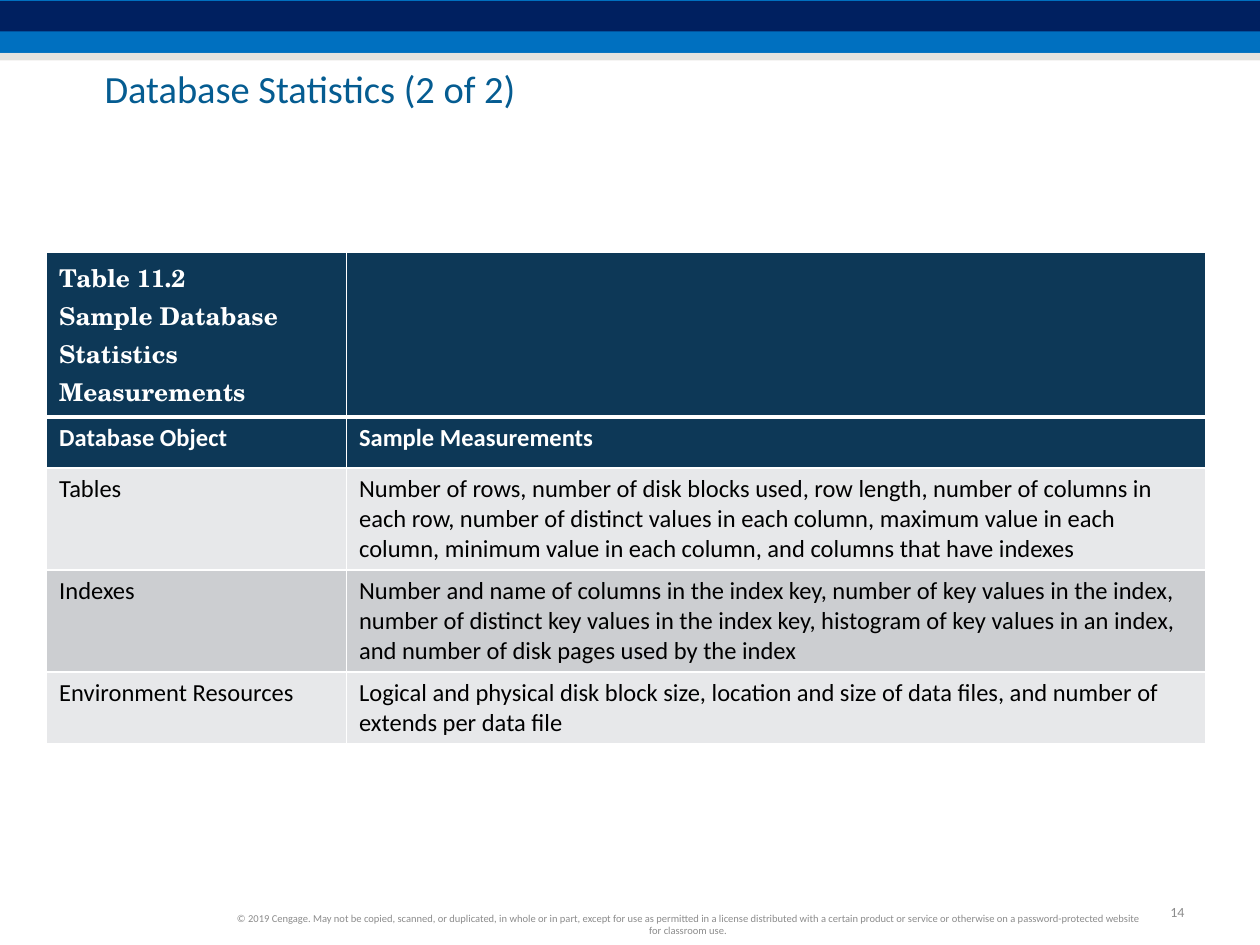
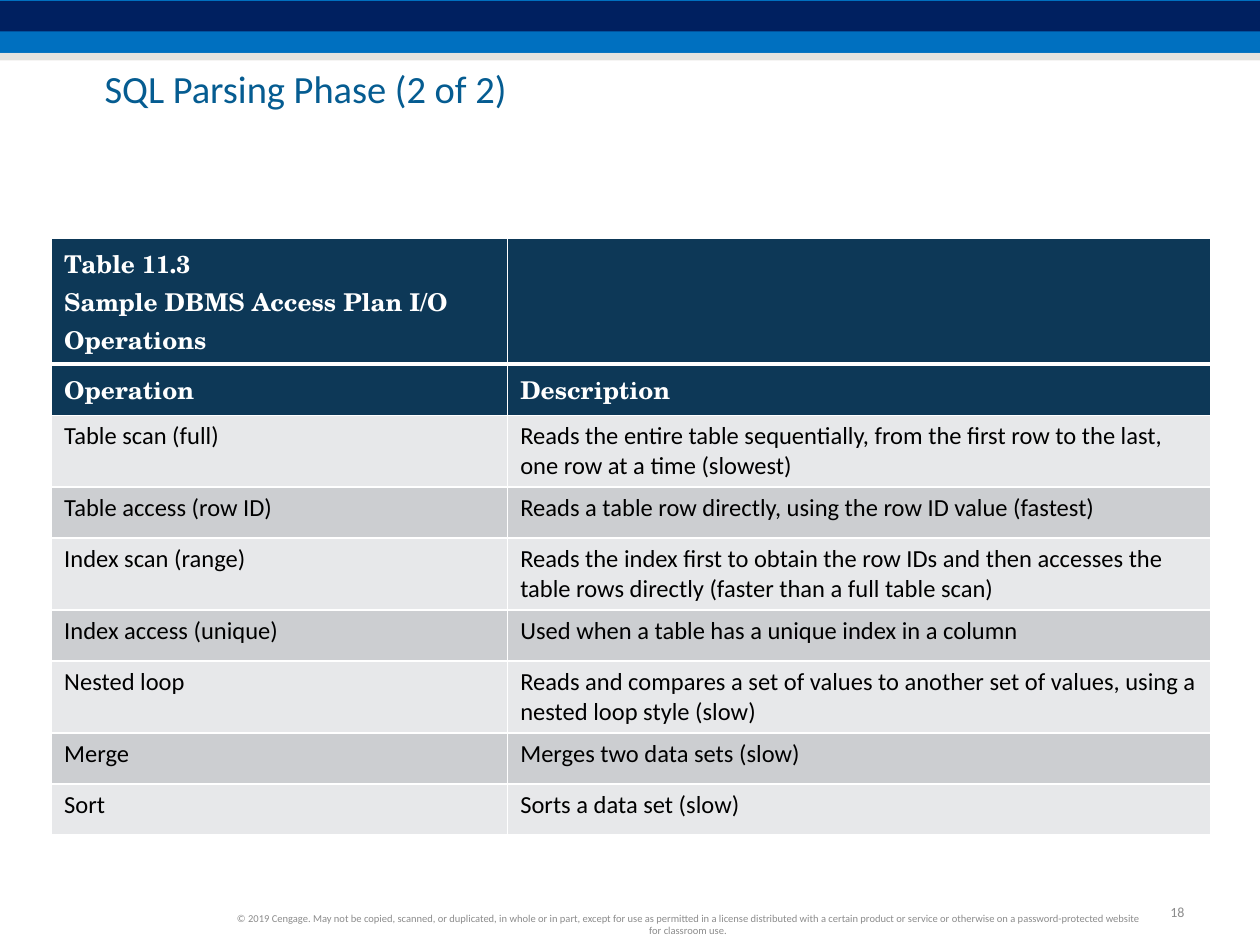
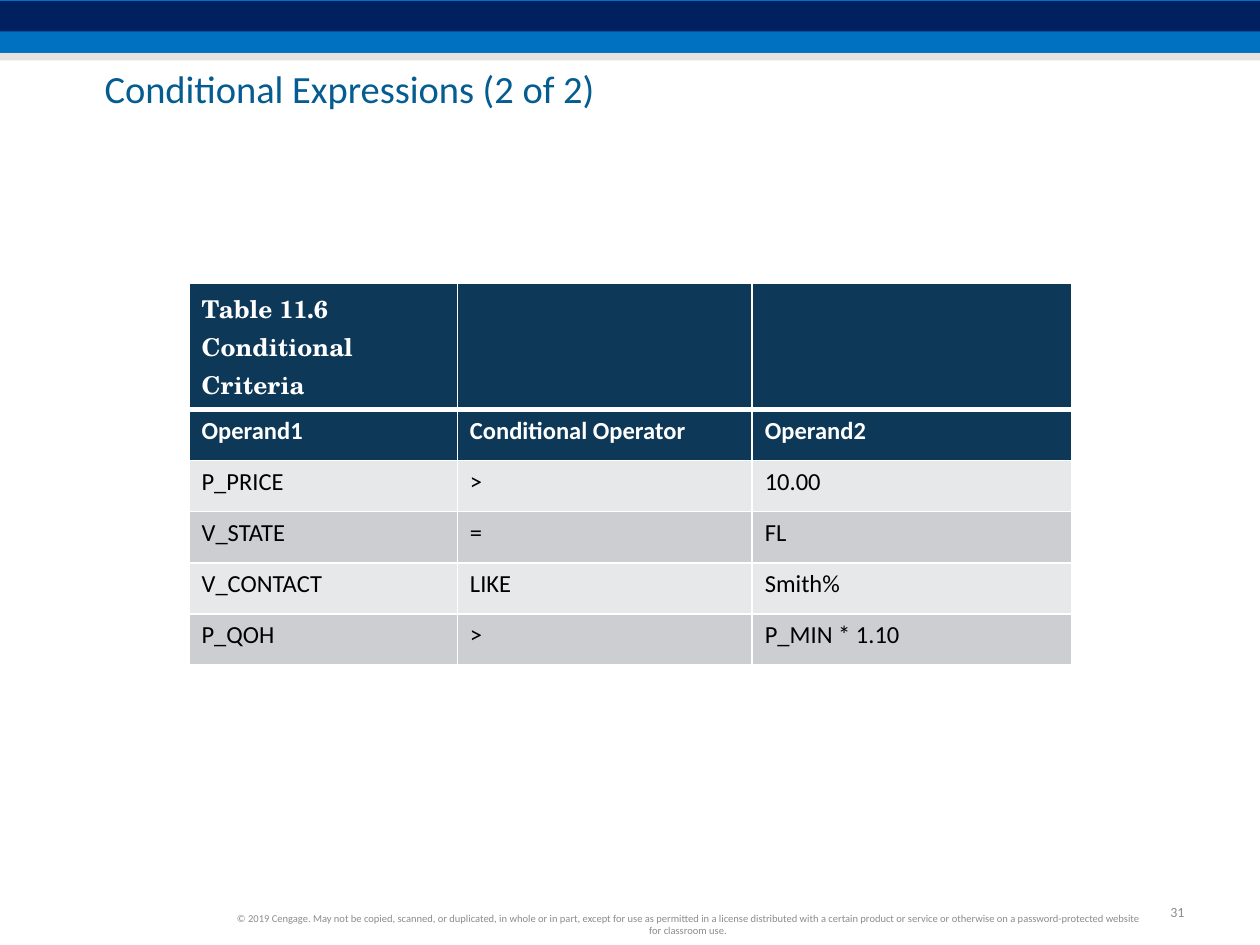
from pptx import Presentation
from pptx.dml.color import RGBColor
from pptx.enum.shapes import MSO_SHAPE as Shape
from pptx.enum.text import MSO_ANCHOR as Anchor, MSO_AUTO_SIZE as AutoSize, PP_ALIGN as Align
from pptx.oxml.ns import qn
from pptx.util import Inches, Pt
from lxml.etree import SubElement

COLORS = {
    "blue": "0070C0",
    "navy": "002060",
    "stone": "CCC9C1",
    "title": "055C91",
    "gray": "8C8C8C",
    "header": "0D3857",
    "light": "E7E8EA",
    "dark": "CCCED1",
    "white": "FFFFFF",
    "black": "000000",
}
SANS = "Calibri"
SERIF = "TeX Gyre Schola"
ROW_HEIGHTS = {1: 29.2 / 72, 2: 0.57, 3: 0.81}
COPYRIGHT = (
    "© 2019 Cengage. May not be copied, scanned, or duplicated, in whole or in part, "
    "except for use as permitted in a license distributed with a certain product or service "
    "or otherwise on a password-protected website for classroom use."
)

PAGES = [
    {
        "number": "14",
        "title": "Database Statistics (2 of 2)",
        "corner": (0.37, 2),
        "widths": (2.38, 6.82),
        "caption": ("Table 11.2", "Sample Database Statistics Measurements"),
        "caption_height": 1.31,
        "line_counts": (1, 3, 3, 2),
        "heading_font": SANS,
        "rows": [
            ("Database Object", "Sample Measurements"),
            ("Tables",
             "Number of rows, number of disk blocks used, row length, number of columns in each row, "
             "number of distinct values in each column, maximum value in each column, "
             "minimum value in each column, and columns that have indexes"),
            ("Indexes",
             "Number and name of columns in the index key, number of key values in the index, "
             "number of distinct key values in the index key, histogram of key values in an index, "
             "and number of disk pages used by the index"),
            ("Environment Resources",
             "Logical and physical disk block size, location and size of data files, "
             "and number of extends per data file"),
        ],
    },
    {
        "number": "18",
        "title": "SQL Parsing Phase (2 of 2)",
        "corner": (0.41, 1.89),
        "widths": (3.62, 5.58),
        "caption": ("Table 11.3", "Sample DBMS Access Plan I/O Operations"),
        "caption_height": 1,
        "line_counts": (1, 2, 1, 2, 1, 2, 1, 1),
        "heading_font": SERIF,
        "rows": [
            ("Operation", "Description"),
            ("Table scan (full)",
             "Reads the entire table sequentially, from the first row to the last, "
             "one row at a time (slowest)"),
            ("Table access (row ID)", "Reads a table row directly, using the row ID value (fastest)"),
            ("Index scan (range)",
             "Reads the index first to obtain the row IDs and then accesses the table rows directly "
             "(faster than a full table scan)"),
            ("Index access (unique)", "Used when a table has a unique index in a column"),
            ("Nested loop",
             "Reads and compares a set of values to another set of values, "
             "using a nested loop style (slow)"),
            ("Merge", "Merges two data sets (slow)"),
            ("Sort", "Sorts a data set (slow)"),
        ],
    },
    {
        "number": "31",
        "title": "Conditional Expressions (2 of 2)",
        "corner": (1.5, 2.25),
        "widths": (2.13, 2.34, 2.54),
        "caption": ("Table 11.6", "Conditional Criteria"),
        "caption_height": 1,
        "line_counts": (1, 1, 1, 1, 1),
        "heading_font": SANS,
        "rows": [
            ("Operand1", "Conditional Operator", "Operand2"),
            ("P_PRICE", ">", "10.00"),
            ("V_STATE", "=", "FL"),
            ("V_CONTACT", "LIKE", "Smith%"),
            ("P_QOH", ">", "P_MIN * 1.10"),
        ],
    },
]


def rgb(name):
    return RGBColor.from_string(COLORS[name])


def add_span(para, text, size, color, font=SANS, bold=False):
    span = para.add_run()
    span.text = text
    span.font.name = font
    span.font.size = Pt(size)
    span.font.bold = bold
    span.font.color.rgb = rgb(color)


def add_band(page, top, height, color, opacity=None):
    band = page.shapes.add_shape(Shape.RECTANGLE, 0, Inches(top), Inches(10), Inches(height))
    band.shadow.inherit = False
    band.line.fill.background()
    band.fill.solid()
    band.fill.fore_color.rgb = rgb(color)
    if opacity:
        tint = band.fill._xPr.find(qn("a:solidFill"))[0]
        SubElement(tint, qn("a:alpha"), val=str(opacity * 1000))


def add_text(page, place, text, size, color, align=Align.LEFT, wrap=True, grow=False):
    box = page.shapes.add_textbox(*map(Inches, place))
    frame = box.text_frame
    frame.word_wrap = wrap
    frame.auto_size = AutoSize.SHAPE_TO_FIT_TEXT if grow else AutoSize.NONE
    frame.vertical_anchor = Anchor.MIDDLE
    para = frame.paragraphs[0]
    para.alignment = align
    add_span(para, text, size, color)
    return frame


def add_title(page, text):
    frame = add_text(page, (0.83, 0.57, 8.78, 0.31), text, 22, "title", grow=True)
    frame.margin_left = frame.margin_top = frame.margin_right = frame.margin_bottom = 0
    frame.paragraphs[0].line_spacing = 0.85


def style_cell(cell, color, top, bottom):
    properties = cell._tc.get_or_add_tcPr()
    for side, points in (("L", 1), ("R", 1), ("T", top), ("B", bottom)):
        line = SubElement(properties, qn(f"a:ln{side}"), w=str(Pt(points)))
        fill = SubElement(line, qn("a:solidFill"))
        SubElement(fill, qn("a:srgbClr"), val=COLORS["white"])
    cell.fill.solid()
    cell.fill.fore_color.rgb = rgb(color)


def add_criteria_table(page, content):
    widths, rows = content["widths"], content["rows"]
    heights = [content["caption_height"]] + [ROW_HEIGHTS[lines] for lines in content["line_counts"]]
    left, top = content["corner"]
    table = page.shapes.add_table(
        len(heights), len(widths), Inches(left), Inches(top),
        Inches(sum(widths)), Inches(sum(heights)),
    ).table
    for column, width in zip(table.columns, widths):
        column.width = Inches(width)
    for row, height in zip(table.rows, heights):
        row.height = Inches(height)

    for column in range(len(widths)):
        style_cell(table.cell(0, column), "header", 1, 3)
    frame = table.cell(0, 0).text_frame
    for index, text in enumerate(content["caption"]):
        para = frame.add_paragraph() if index else frame.paragraphs[0]
        add_span(para, text, 14, "white", SERIF, True)

    for index, texts in enumerate(rows, 1):
        heading = index == 1
        fill = "header" if heading else ("light", "dark")[index % 2]
        color = "white" if heading else "black"
        font = content["heading_font"] if heading else SANS
        for column, text in enumerate(texts):
            cell = table.cell(index, column)
            style_cell(cell, fill, 3 if heading else 1, 1)
            add_span(cell.text_frame.paragraphs[0], text, 14, color, font, heading)


def add_page(deck, content):
    page = deck.slides.add_slide(deck.slide_layouts[6])
    add_text(page, (9.16, 7.12, 0.34, 0.24), content["number"], 8, "gray",
             Align.RIGHT, wrap=False, grow=True)
    add_band(page, 0, 0.42, "blue")
    add_band(page, 0.01, 0.24, "navy")
    add_band(page, 0.42, 0.06, "stone", 50)
    add_title(page, content["title"])
    add_criteria_table(page, content)
    add_text(page, (1.75, 7.2, 7.42, 0.27), COPYRIGHT, 6, "gray", Align.CENTER)


def main():
    deck = Presentation()
    deck.slide_width = Inches(10)
    deck.slide_height = Inches(7.5)
    for content in PAGES:
        add_page(deck, content)
    deck.save("out.pptx")


if __name__ == "__main__":
    main()
